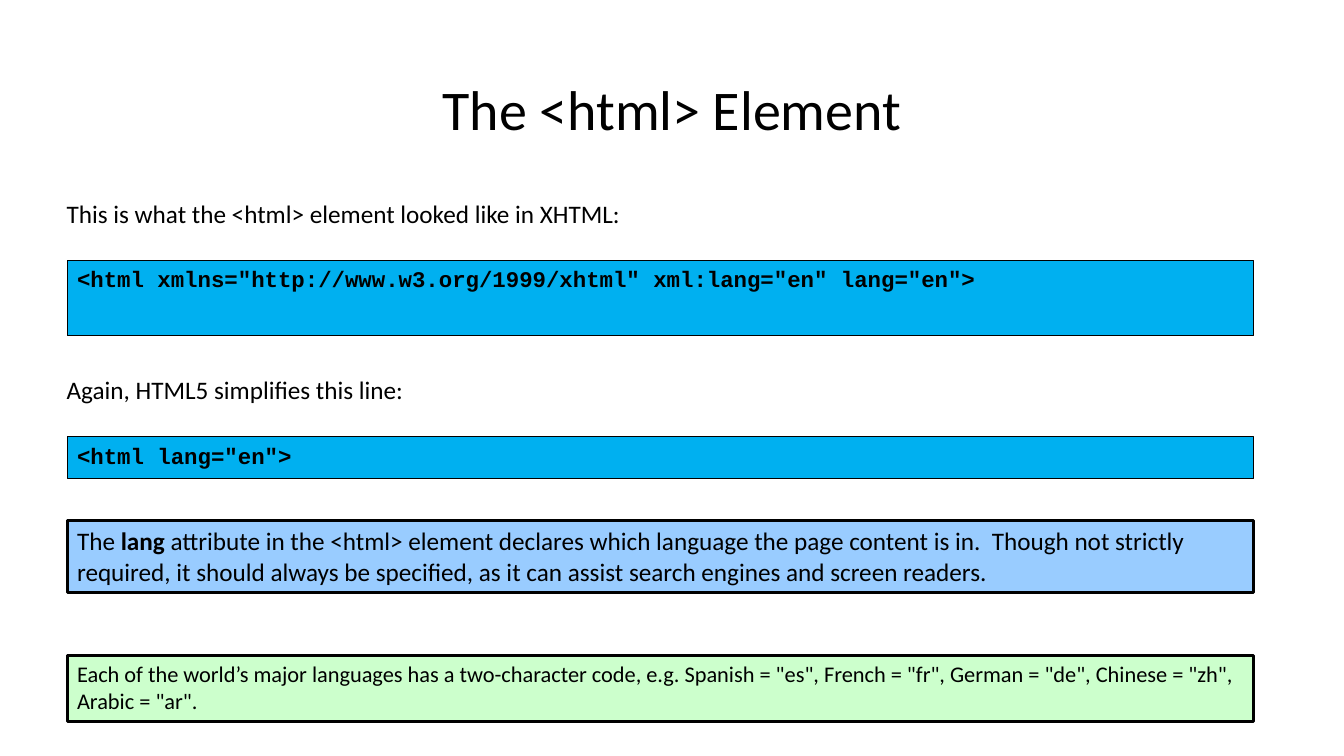
from pptx import Presentation
from pptx.dml.color import RGBColor
from pptx.enum.shapes import MSO_SHAPE
from pptx.enum.text import MSO_ANCHOR, MSO_AUTO_SIZE, PP_ALIGN
from pptx.util import Emu, Pt

PX = 9525  # EMU per px, 96 px to the inch


def color(code):
    return RGBColor.from_string(code)


class Deck:
    ink = "000000"
    sans = "Calibri"
    mono = "Courier New"
    left = 64
    width = 1130

    def __init__(self, wide, high):
        self.prs = Presentation()
        self.prs.slide_width = Emu(wide * PX)
        self.prs.slide_height = Emu(high * PX)
        self.slide = self.prs.slides.add_slide(self.prs.slide_layouts[6])

    def area(self, *sides):
        return [Emu(side * PX) for side in sides]

    def fill_text(self, shape, runs, size, font, wrap=True):
        frame = shape.text_frame
        frame.word_wrap = wrap
        frame.vertical_anchor = MSO_ANCHOR.TOP
        para = frame.paragraphs[0]
        para.alignment = PP_ALIGN.LEFT
        for text, bold in runs:
            run = para.add_run()
            run.text = text
            run.font.name = font
            run.font.size = Pt(size)
            run.font.bold = bold
            run.font.color.rgb = color(self.ink)
        return frame

    def title(self, text, x, y, w, h):
        box = self.slide.shapes.add_textbox(*self.area(x, y, w, h))
        frame = self.fill_text(box, [(text, False)], 40, self.sans)
        frame.vertical_anchor = MSO_ANCHOR.MIDDLE
        frame.paragraphs[0].alignment = PP_ALIGN.CENTER
        frame.paragraphs[0].line_spacing = 0.9

    def label(self, text, y, w):
        box = self.slide.shapes.add_textbox(*self.area(54, y, w, 38))
        frame = self.fill_text(box, [(text, False)], 18, self.sans, wrap=False)
        frame.auto_size = MSO_AUTO_SIZE.SHAPE_TO_FIT_TEXT

    def panel(self, y, h, fill, line):
        box = self.slide.shapes.add_shape(
            MSO_SHAPE.RECTANGLE, *self.area(self.left, y, self.width, h))
        box.shadow.inherit = False
        box.fill.solid()
        box.fill.fore_color.rgb = color(fill)
        box.line.color.rgb = color(self.ink)
        box.line.width = Pt(line)
        return box

    def code(self, text, y, h):
        box = self.panel(y, h, "00B0F0", 0.75)
        self.fill_text(box, [(text, True)], 16, self.mono)

    def note(self, runs, y, h, fill, size):
        box = self.panel(y, h, fill, 2)
        frame = self.fill_text(box, runs, size, self.sans)
        frame.auto_size = MSO_AUTO_SIZE.SHAPE_TO_FIT_TEXT


def main():
    deck = Deck(1280, 720)
    deck.title("The <html> Element", 88, 38, 1104, 139)

    # XHTML form
    deck.label("This is what the <html> element looked like in XHTML:", 184, 553)
    deck.code('<html xmlns="http://www.w3.org/1999/xhtml" xml:lang="en" lang="en">',
              248, 72)

    # HTML5 form
    deck.label("Again, HTML5 simplifies this line:", 352, 344)
    deck.code('<html lang="en">', 416, 40)

    # Notes on the lang attribute
    deck.note([
        ("The ", False),
        ("lang", True),
        (" attribute in the <html> element declares which language the page "
         "content is in.  Though not strictly required, it should always be "
         "specified, as it can assist search engines and screen readers.", False),
    ], 496, 68, "99CCFF", 18)
    deck.note([
        ("Each of the world’s major languages has a two-character code, e.g. "
         'Spanish = "es", French = "fr", German = "de", Chinese = "zh", '
         'Arabic = "ar".', False),
    ], 624, 63, "CCFFCC", 16)

    deck.prs.save("out.pptx")


if __name__ == "__main__":
    main()
